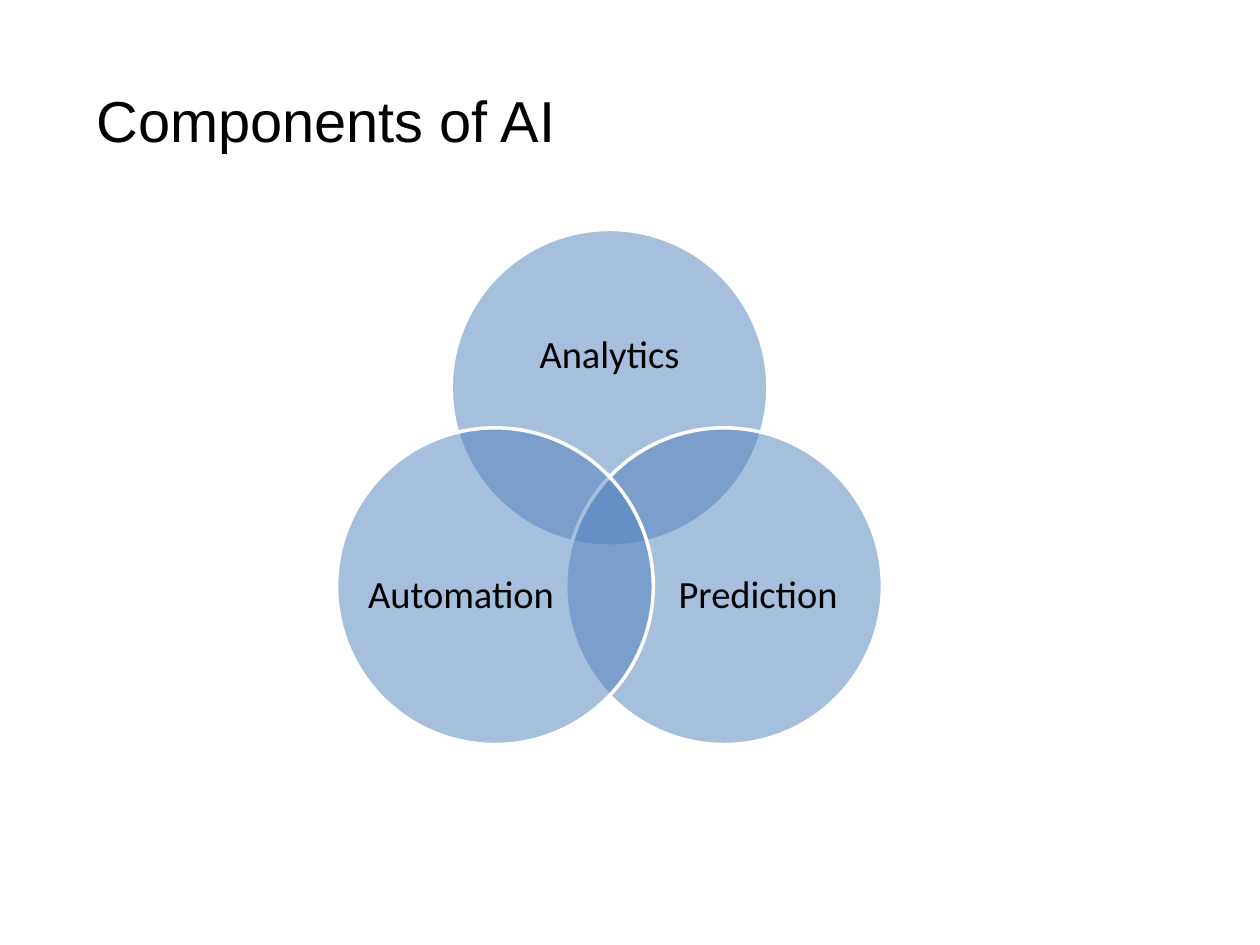
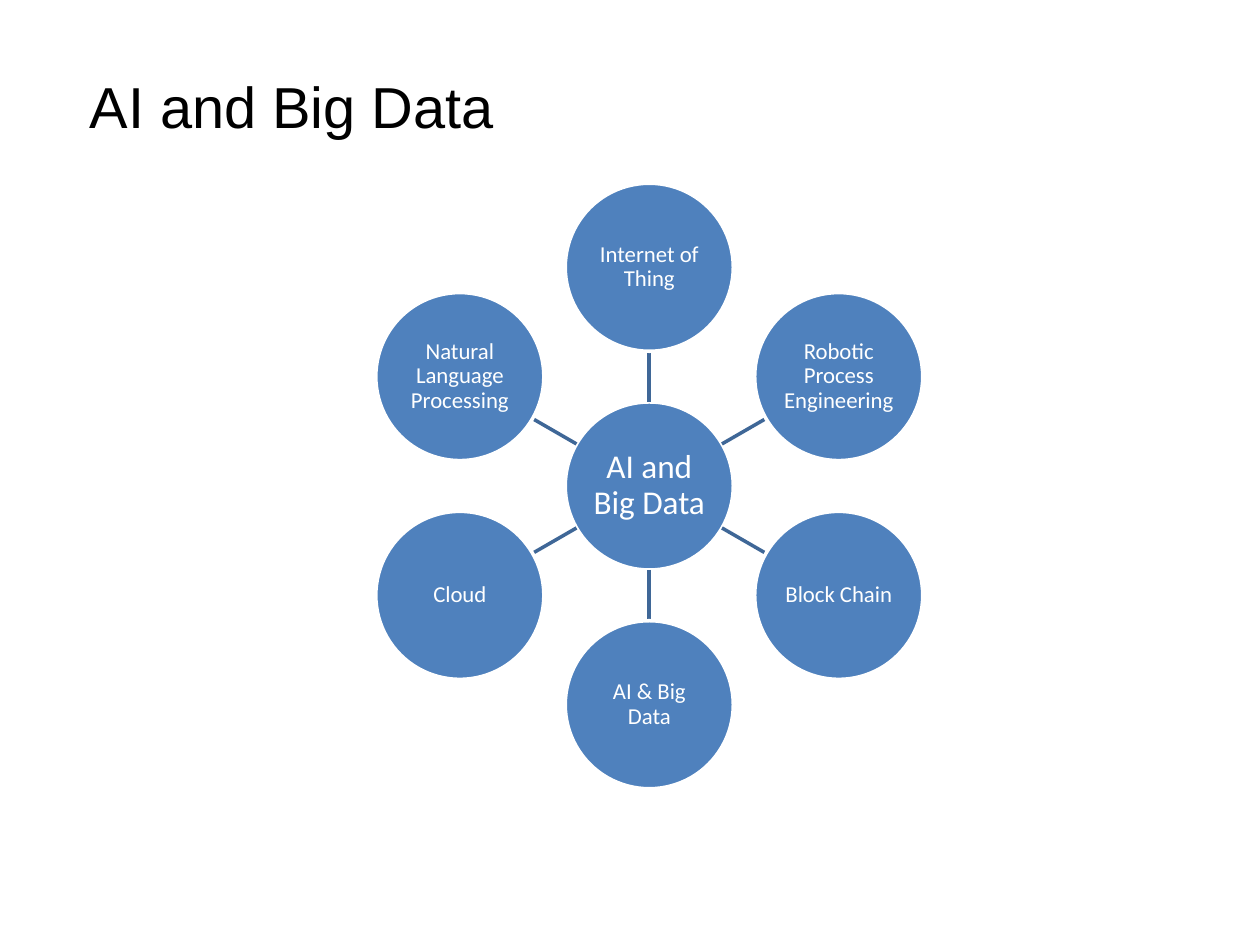
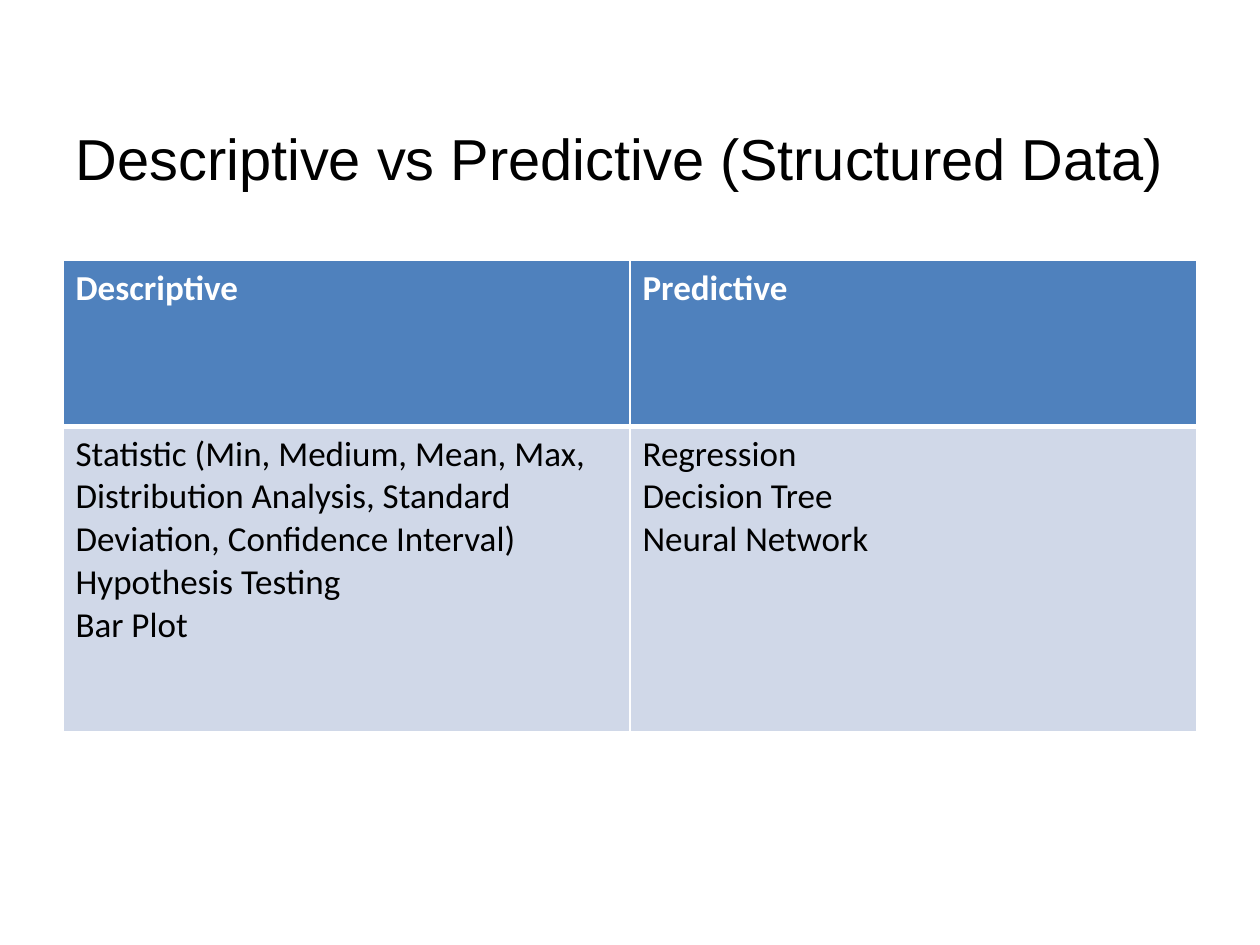
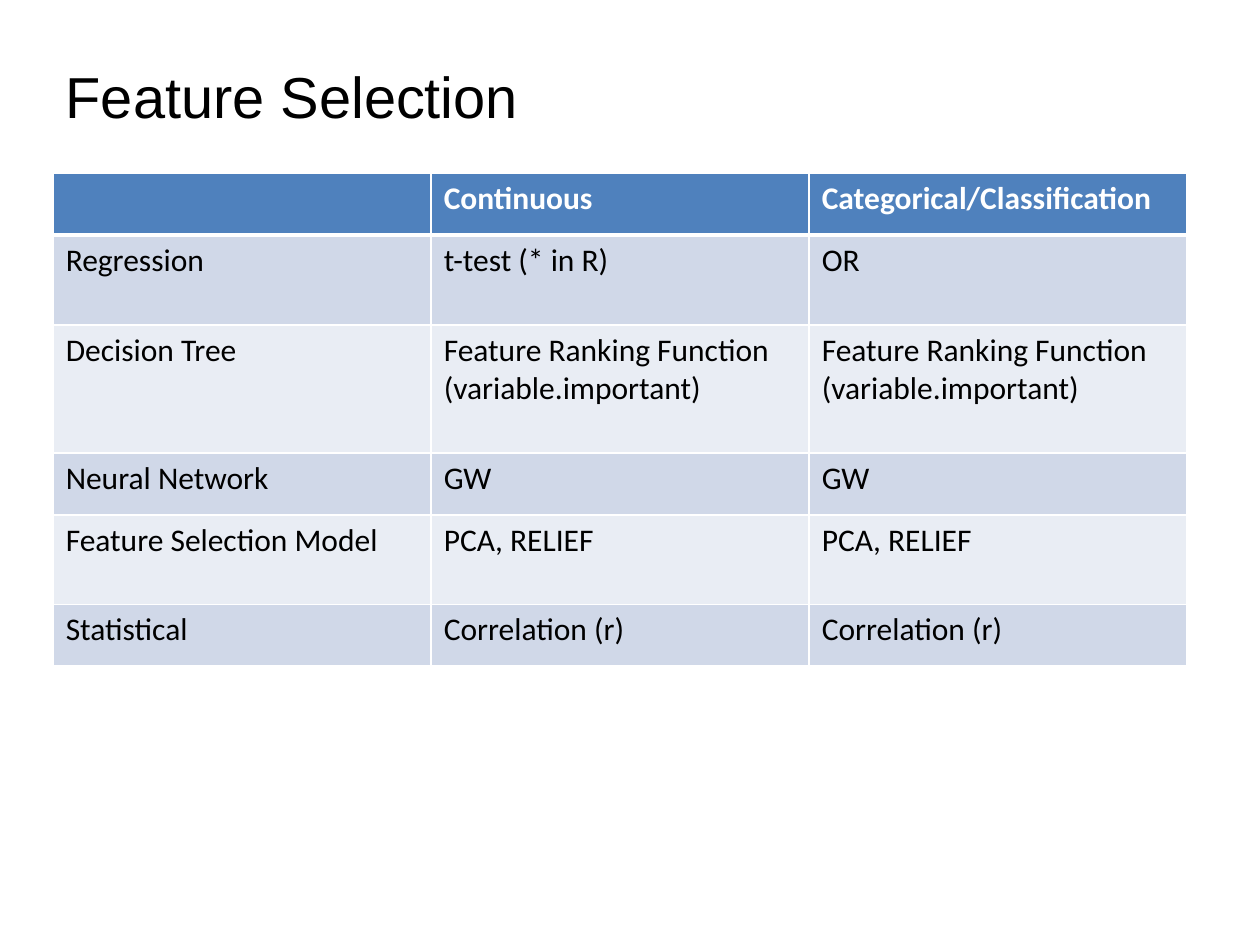
from math import cos, radians, sin

from lxml.etree import SubElement
from pptx import Presentation
from pptx.dml.color import RGBColor
from pptx.enum.shapes import MSO_CONNECTOR, MSO_SHAPE
from pptx.enum.text import MSO_ANCHOR, MSO_AUTO_SIZE, PP_ALIGN
from pptx.oxml.ns import qn
from pptx.util import Pt

BLUE = "4F81BD"
SPOKE_BLUE = "3F6797"
WHITE = "FFFFFF"
BLACK = "000000"
BAND_COLORS = ("D0D8E8", "E9EDF4")

TITLE_FONT = {"name": "Arial", "size": Pt(33), "bold": False}
TITLE_PARAGRAPH = {"alignment": PP_ALIGN.LEFT}
TITLE_FRAME = {
    "vertical_anchor": MSO_ANCHOR.MIDDLE,
    "auto_size": MSO_AUTO_SIZE.NONE,
    "word_wrap": True,
}
LABEL_PARAGRAPH = {"alignment": PP_ALIGN.CENTER, "line_spacing": 0.9}
LABEL_FRAME = {
    "vertical_anchor": MSO_ANCHOR.MIDDLE,
    "word_wrap": True,
    "margin_left": Pt(1),
    "margin_top": Pt(1),
    "margin_right": Pt(1),
    "margin_bottom": Pt(1),
}

VENN_CENTER = (348.3, 297.2)
VENN_ORBIT = 75.6
VENN_DIAMETER = 181
VENN_CIRCLES = (
    ("Analytics", -90, (0, -18), (132, 81)),
    ("Prediction", 30, (19.4, 5.4), (109, 99)),
    ("Automation", 150, (-19.4, 5.4), (109, 99)),
)

HUB_CENTER = (371, 277.7)
HUB_ORBIT = 125
HUB_DIAMETER = 96
HUB_TOPICS = (
    "Internet of Thing",
    "Robotic Process Engineering",
    "Block Chain",
    "AI & Big Data",
    "Cloud",
    "Natural Language Processing",
)

METHOD_ROWS = (
    ("Descriptive", "Predictive"),
    (
        "Statistic (Min, Medium, Mean, Max, Distribution Analysis, "
        "Standard Deviation, Confidence Interval)\nHypothesis Testing\nBar Plot",
        "Regression\nDecision Tree\nNeural Network",
    ),
)

RANKING = "Feature Ranking Function (variable.important)"
FEATURE_ROWS = (
    ("", "Continuous", "Categorical/Classification"),
    ("Regression", "t-test (* in R)", "OR"),
    ("Decision Tree", RANKING, RANKING),
    ("Neural Network", "GW", "GW"),
    ("Feature Selection Model", "PCA, RELIEF", "PCA, RELIEF"),
    ("Statistical", "Correlation (r)", "Correlation (r)"),
)


def color(hex_string):
    return RGBColor.from_string(hex_string)


def apply_format(target, values):
    for name, value in values.items():
        setattr(target, name, value)


def write_text(text_frame, text, font, font_color, paragraph_format):
    text_frame.text = text
    for paragraph in text_frame.paragraphs:
        apply_format(paragraph, paragraph_format)
        apply_format(paragraph.font, font)
        paragraph.font.color.rgb = color(font_color)


def body_font(size, bold=False):
    return {"name": "Calibri", "size": Pt(size), "bold": bold}


def write_label(shape, text, size, font_color):
    apply_format(shape.text_frame, LABEL_FRAME)
    write_text(shape.text_frame, text, body_font(size), font_color, LABEL_PARAGRAPH)


def add_title_slide(presentation, text, left, top, width, height):
    slide = presentation.slides.add_slide(presentation.slide_layouts[5])
    title = slide.shapes.title
    bounds = {"left": left, "top": top, "width": width, "height": height}
    apply_format(title, {name: Pt(value) for name, value in bounds.items()})
    apply_format(title.text_frame, TITLE_FRAME)
    write_text(title.text_frame, text, TITLE_FONT, BLACK, TITLE_PARAGRAPH)
    return slide


def orbit_point(center, radius, angle):
    x, y = center
    return x + radius * cos(radians(angle)), y + radius * sin(radians(angle))


def centered_box(center, width, height):
    x, y = center
    return Pt(x - width / 2), Pt(y - height / 2), Pt(width), Pt(height)


def add_circle(slide, center, diameter, opacity=100):
    circle = slide.shapes.add_shape(
        MSO_SHAPE.OVAL, *centered_box(center, diameter, diameter)
    )
    circle.shadow.inherit = False
    circle.fill.solid()
    circle.fill.fore_color.rgb = color(BLUE)
    circle.line.color.rgb = color(WHITE)
    circle.line.width = Pt(2)
    if opacity < 100:
        fill_color = circle.fill._xPr.find(qn("a:solidFill"))[0]
        SubElement(fill_color, qn("a:alpha"), val=str(opacity * 1000))
    return circle


def add_spoke(slide, center, start_radius, end_radius, angle):
    start = orbit_point(center, start_radius, angle)
    end = orbit_point(center, end_radius, angle)
    spoke = slide.shapes.add_connector(
        MSO_CONNECTOR.STRAIGHT, *(Pt(value) for value in start + end)
    )
    spoke.line.color.rgb = color(SPOKE_BLUE)
    spoke.line.width = Pt(2)
    SubElement(spoke._element.spPr, qn("a:effectLst"))


def add_venn(slide):
    for text, angle, (shift_x, shift_y), label_size in VENN_CIRCLES:
        x, y = orbit_point(VENN_CENTER, VENN_ORBIT, angle)
        add_circle(slide, (x, y), VENN_DIAMETER, opacity=50)
        label = slide.shapes.add_textbox(
            *centered_box((x + shift_x, y + shift_y), *label_size)
        )
        write_label(label, text, 22, BLACK)


def add_hub(slide):
    radius = HUB_DIAMETER / 2
    write_label(
        add_circle(slide, HUB_CENTER, HUB_DIAMETER), "AI and Big Data", 19, WHITE
    )
    step = 360 / len(HUB_TOPICS)
    for index, topic in enumerate(HUB_TOPICS):
        angle = -90 + index * step
        add_spoke(slide, HUB_CENTER, radius, HUB_ORBIT - radius, angle)
        satellite = add_circle(
            slide, orbit_point(HUB_CENTER, HUB_ORBIT, angle), HUB_DIAMETER
        )
        write_label(satellite, topic, 13, WHITE)


def set_cell_borders(cell, row_index):
    widths = {
        "lnL": 1,
        "lnR": 1,
        "lnT": 3 if row_index == 1 else 1,
        "lnB": 3 if row_index == 0 else 1,
    }
    properties = cell._tc.get_or_add_tcPr()
    for side, width in widths.items():
        border = SubElement(properties, qn(f"a:{side}"), w=str(Pt(width)))
        fill = SubElement(border, qn("a:solidFill"))
        SubElement(fill, qn("a:srgbClr"), val=WHITE)


def add_grid(slide, rows, left, top, width, row_heights, size):
    column_count = len(rows[0])
    table = slide.shapes.add_table(
        len(rows), column_count, Pt(left), Pt(top), Pt(width), Pt(sum(row_heights))
    ).table
    for column in table.columns:
        column.width = Pt(width / column_count)
    for row_index, (texts, height) in enumerate(zip(rows, row_heights)):
        table.rows[row_index].height = Pt(height)
        is_header = row_index == 0
        fill_color = BLUE if is_header else BAND_COLORS[(row_index - 1) % 2]
        font_color = WHITE if is_header else BLACK
        for column_index, text in enumerate(texts):
            cell = table.cell(row_index, column_index)
            set_cell_borders(cell, row_index)
            cell.fill.solid()
            cell.fill.fore_color.rgb = color(fill_color)
            write_text(
                cell.text_frame, text, body_font(size, is_header), font_color, {}
            )


def main():
    presentation = Presentation()
    presentation.slide_width = Pt(720)
    presentation.slide_height = Pt(540)

    add_venn(add_title_slide(presentation, "Components of AI", 48, 34, 644, 68))
    add_hub(add_title_slide(presentation, "AI and Big Data", 44, 23, 541, 74))

    methods = add_title_slide(
        presentation, "Descriptive vs Predictive (Structured Data)", 36, 45, 648, 90
    )
    add_grid(methods, METHOD_ROWS, 36, 149, 648, (94.7, 174.6), 20)

    features = add_title_slide(presentation, "Feature Selection", 30.4, 9.4, 648, 90)
    add_grid(
        features, FEATURE_ROWS, 30.4, 98.8, 648, (35.6, 51.4, 73.2, 35.4, 51, 35.4), 18
    )

    presentation.save("out.pptx")


if __name__ == "__main__":
    main()
